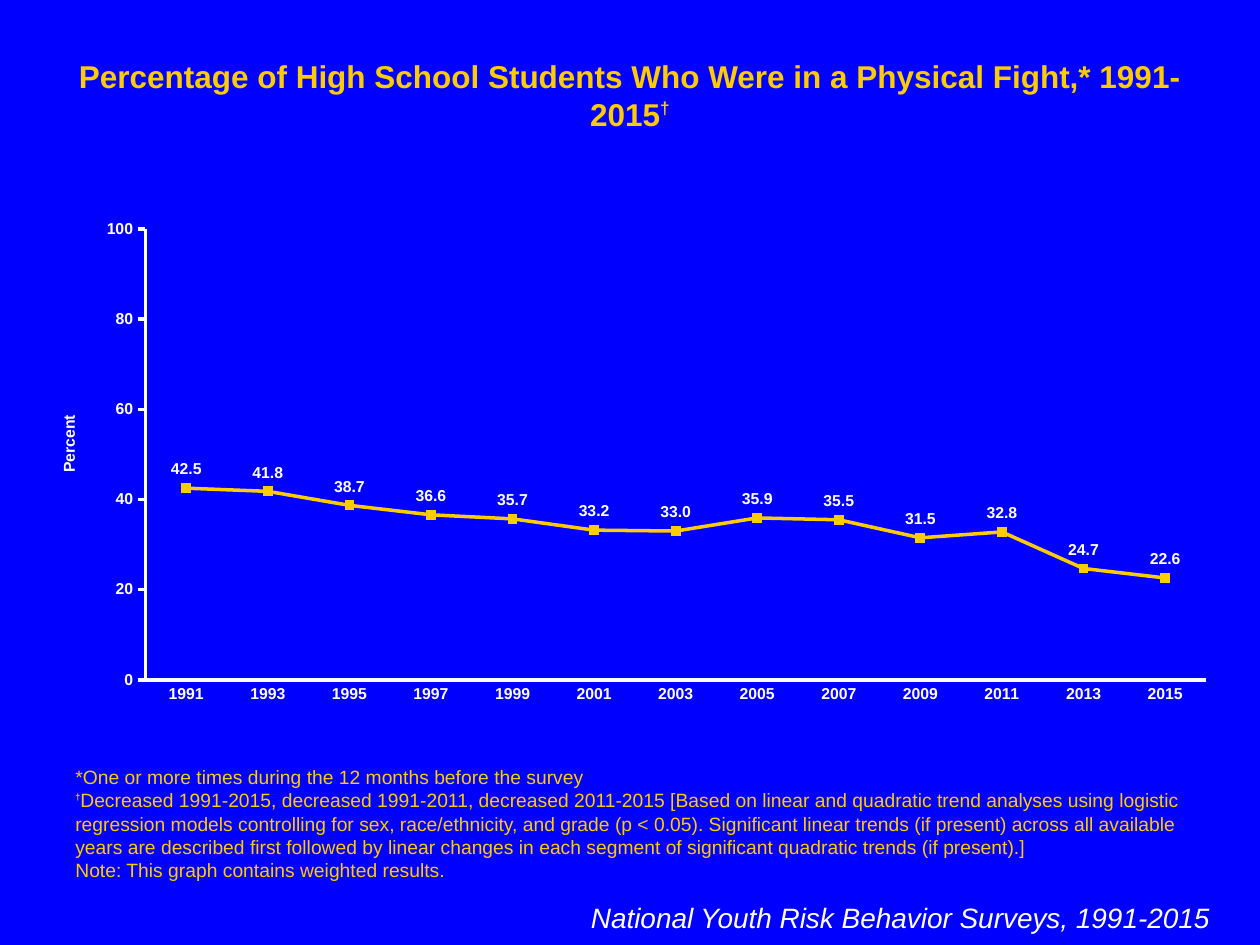
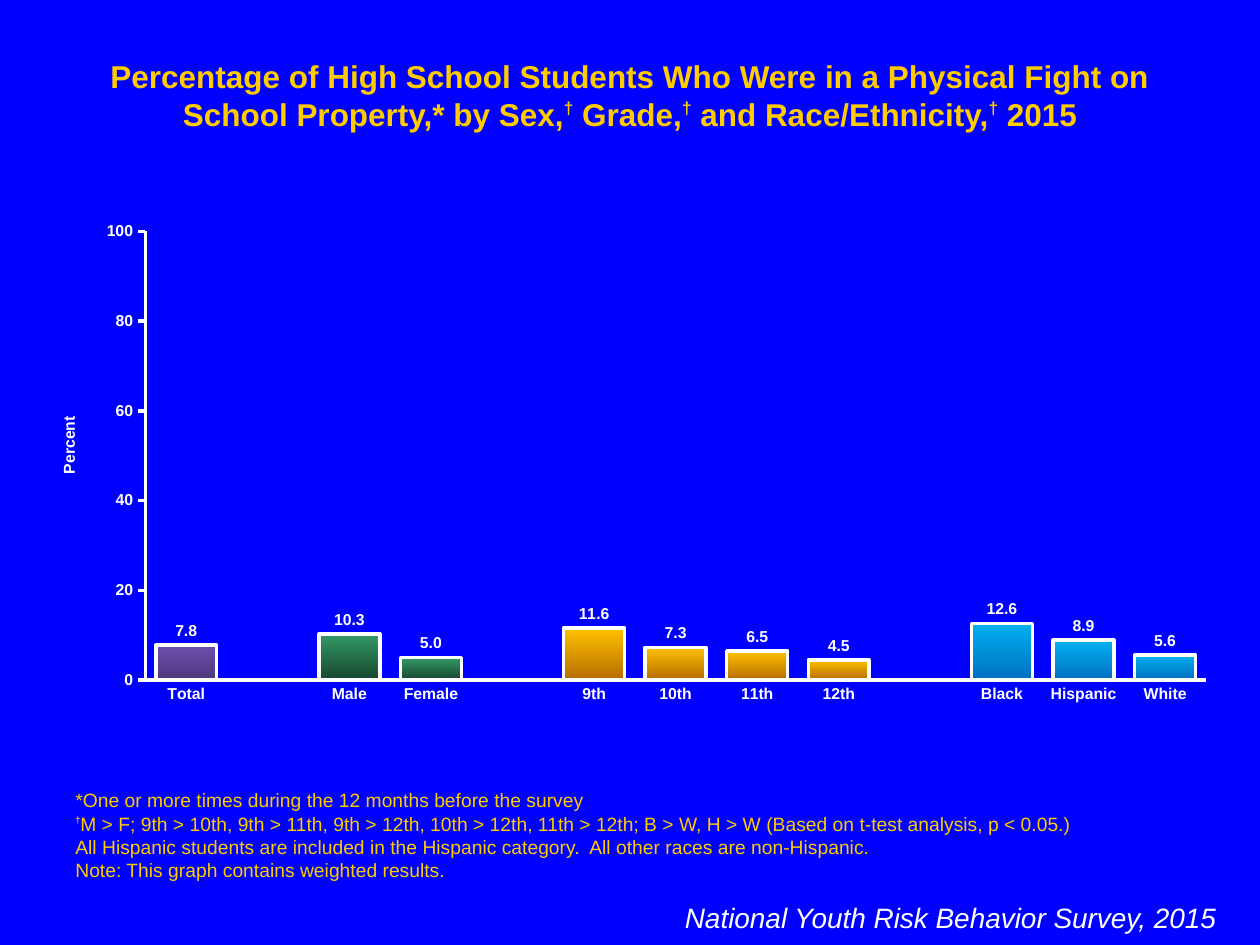
"""Build two survey slides: a trend line and a column chart by group."""
from lxml import etree
from pptx import Presentation
from pptx.chart import data as cd
from pptx.dml import color as dc
from pptx.enum import chart as ch, text as tx
from pptx.oxml import ns
from pptx.util import Cm, Pt

FONT = "Arial"
BLUE, YELLOW, WHITE = "0000FF", "FFCC00", "FFFFFF"
PURPLE, GREEN = ("6E4EAE", "4F387C"), ("339966", "18472F")
AMBER, SKY = ("FFC000", "B66D00"), ("00B0F0", "0070C0")
DAGGER = "†"
TITLE_BOX = (1.27, 1.02, 22.86, 1.02)
NOTES_BOX = (1.27, 17.15, 22.86, 0.74)
PLOT_LAYOUT = {"layoutTarget": "inner", "xMode": "edge", "yMode": "edge",
               "x": 0.095, "y": 0.037, "w": 0.886, "h": 0.895}
AXIS_TITLE_LAYOUT = {"xMode": "edge", "yMode": "edge", "x": 0.02, "y": 0.4}

TREND = {
    "1991": 42.5, "1993": 41.8, "1995": 38.7, "1997": 36.6, "1999": 35.7,
    "2001": 33.2, "2003": 33.0, "2005": 35.9, "2007": 35.5, "2009": 31.5,
    "2011": 32.8, "2013": 24.7, "2015": 22.6,
}
GROUPS = [
    (PURPLE, {"Total": 7.8}),
    (GREEN, {"Male": 10.3, "Female": 5.0}),
    (AMBER, {"9th": 11.6, "10th": 7.3, "11th": 6.5, "12th": 4.5}),
    (SKY, {"Black": 12.6, "Hispanic": 8.9, "White": 5.6}),
]
FIRST_NOTE = "*One or more times during the 12 months before the survey"
LAST_NOTE = "Note: This graph contains weighted results."


def rgb(value):
    """Turn a hex string into a colour."""
    return dc.RGBColor.from_string(value)


def style(font, size, color, bold=False, italic=False):
    """Set the face, size, colour and emphasis of a font."""
    font.name, font.size = FONT, Pt(size)
    font.bold, font.italic = bold, italic
    font.color.rgb = rgb(color)


def outline(line, color):
    """Draw a solid two-point line."""
    line.color.rgb = rgb(color)
    line.width = Pt(2)


def add_text(s, box, paragraphs, size, color, align=tx.PP_ALIGN.LEFT,
             anchor=tx.MSO_ANCHOR.TOP, raised=(9, 50), bold=False, italic=False):
    """Add a text box whose daggers are raised by (size, percent)."""
    tf = s.shapes.add_textbox(*map(Cm, box)).text_frame
    tf.word_wrap = True
    tf.auto_size = tx.MSO_AUTO_SIZE.SHAPE_TO_FIT_TEXT
    tf.vertical_anchor = anchor
    for i, line in enumerate(paragraphs):
        p = tf.add_paragraph() if i else tf.paragraphs[0]
        p.alignment = align
        for j, part in enumerate(line.split(DAGGER)):
            if j:
                r = p.add_run()
                r.text = DAGGER
                style(r.font, raised[0], color, True, italic)
                r.font._element.set("baseline", str(raised[1] * 1000))
            if part:
                r = p.add_run()
                r.text = part
                style(r.font, size, color, bold, italic)


def add_frame(prs, title, notes, source, source_box):
    """Add a slide with its title, footnotes and source line."""
    s = prs.slides.add_slide(prs.slide_layouts[6])
    s.background.fill.solid()
    s.background.fill.fore_color.rgb = rgb(BLUE)
    add_text(s, TITLE_BOX, [title], 18, YELLOW, tx.PP_ALIGN.CENTER,
             raised=(17, 40), bold=True)
    add_text(s, NOTES_BOX, [FIRST_NOTE, *notes, LAST_NOTE], 11, YELLOW,
             anchor=tx.MSO_ANCHOR.BOTTOM)
    add_text(s, source_box, [source], 16, WHITE, tx.PP_ALIGN.RIGHT, italic=True)
    return s


def set_layout(parent, values):
    """Place a chart part by fractions of the chart's size."""
    layout = parent.find(ns.qn("c:layout"))
    if layout is None:
        layout = etree.Element(ns.qn("c:layout"))
        parent.insert(0, layout)
    manual = etree.SubElement(layout, ns.qn("c:manualLayout"))
    for name, value in values.items():
        etree.SubElement(manual, ns.qn(f"c:{name}")).set("val", str(value))


def add_percent_chart(s, kind, box, names, values, label_position):
    """Add a one-series chart on a 0 to 100 scale and return its plot."""
    data = cd.CategoryChartData(number_format="#,##0.0")
    data.categories = names
    data.add_series("Series 1", values)
    chart = s.shapes.add_chart(kind, *map(Cm, box), data).chart
    chart.has_legend = chart.has_title = False
    style(chart.font, 18, WHITE)
    set_layout(chart._chartSpace.chart.plotArea, PLOT_LAYOUT)

    cat, val = chart.category_axis, chart.value_axis
    for axis in (cat, val):
        axis.has_major_gridlines = False
        axis.major_tick_mark = axis.minor_tick_mark = ch.XL_TICK_MARK.NONE
        style(axis.tick_labels.font, 9, WHITE, bold=True)
        outline(axis.format.line, WHITE)
    val.major_tick_mark = ch.XL_TICK_MARK.OUTSIDE
    val.minimum_scale, val.maximum_scale, val.major_unit = 0, 100, 20
    val.tick_labels.number_format = "#,##0"
    val.tick_labels.number_format_is_linked = False
    r = val.axis_title.text_frame.paragraphs[0].add_run()
    r.text = "Percent"
    style(r.font, 9, WHITE, bold=True)
    set_layout(val.axis_title._element, AXIS_TITLE_LAYOUT)

    plot = chart.plots[0]
    plot.vary_by_categories = False
    plot.has_data_labels = True
    labels = plot.data_labels
    labels.show_value = True
    labels.position = label_position
    labels.number_format = "#,##0.0"
    labels.number_format_is_linked = False
    style(labels.font, 9, WHITE, bold=True)
    return plot


def add_trend_chart(s, box):
    """Add the line of yearly percentages."""
    plot = add_percent_chart(s, ch.XL_CHART_TYPE.LINE_MARKERS, box, list(TREND),
                             list(TREND.values()), ch.XL_LABEL_POSITION.ABOVE)
    series = plot.series[0]
    series.smooth = False
    outline(series.format.line, YELLOW)
    marker = series.marker
    marker.style, marker.size = ch.XL_MARKER_STYLE.SQUARE, 5
    marker.format.fill.solid()
    marker.format.fill.fore_color.rgb = rgb(YELLOW)
    marker.format.line.color.rgb = rgb(YELLOW)


def add_group_chart(s, box):
    """Add the columns, one gradient per group and a gap between groups."""
    bars = []
    for shades, group in GROUPS:
        if bars:
            bars.append(("", None, None))
        bars += [(name, value, shades) for name, value in group.items()]
    names, values, gradients = zip(*bars)
    plot = add_percent_chart(s, ch.XL_CHART_TYPE.COLUMN_CLUSTERED, box, names,
                             values, ch.XL_LABEL_POSITION.OUTSIDE_END)
    plot.gap_width, plot.overlap = 34, 100
    for i, shades in enumerate(gradients):
        if shades:
            bar = plot.series[0].points[i].format
            bar.fill.gradient()
            bar.fill.gradient_angle = 270
            for stop, shade in zip(bar.fill.gradient_stops, shades):
                stop.color.rgb = rgb(shade)
            outline(bar.line, WHITE)


def main():
    """Build and save both slides."""
    prs = Presentation()
    prs.slide_width, prs.slide_height = Cm(25.4), Cm(19.05)
    s = add_frame(
        prs,
        "Percentage of High School Students Who Were in a Physical Fight,* 1991-2015†",
        ["†Decreased 1991-2015, decreased 1991-2011, decreased 2011-2015 [Based on "
         "linear and quadratic trend analyses using logistic regression models "
         "controlling for sex, race/ethnicity, and grade (p < 0.05). Significant "
         "linear trends (if present) across all available years are described first "
         "followed by linear changes in each segment of significant quadratic trends "
         "(if present).]"],
        "National Youth Risk Behavior Surveys, 1991-2015", (11.51, 18.03, 13.13, 0.94))
    add_trend_chart(s, (0.64, 4.24, 24.13, 10.16))

    s = add_frame(
        prs,
        "Percentage of High School Students Who Were in a Physical Fight on School "
        "Property,* by Sex,† Grade,† and Race/Ethnicity,† 2015",
        ["†M > F; 9th > 10th, 9th > 11th, 9th > 12th, 10th > 12th, 11th > 12th; "
         "B > W, H > W (Based on t-test analysis, p < 0.05.)",
         "All Hispanic students are included in the Hispanic category.  "
         "All other races are non-Hispanic."],
        "National Youth Risk Behavior Survey, 2015", (10.8, 18.03, 13.97, 0.94))
    add_group_chart(s, (0.64, 4.29, 24.13, 10.11))
    prs.save("out.pptx")


if __name__ == "__main__":
    main()
